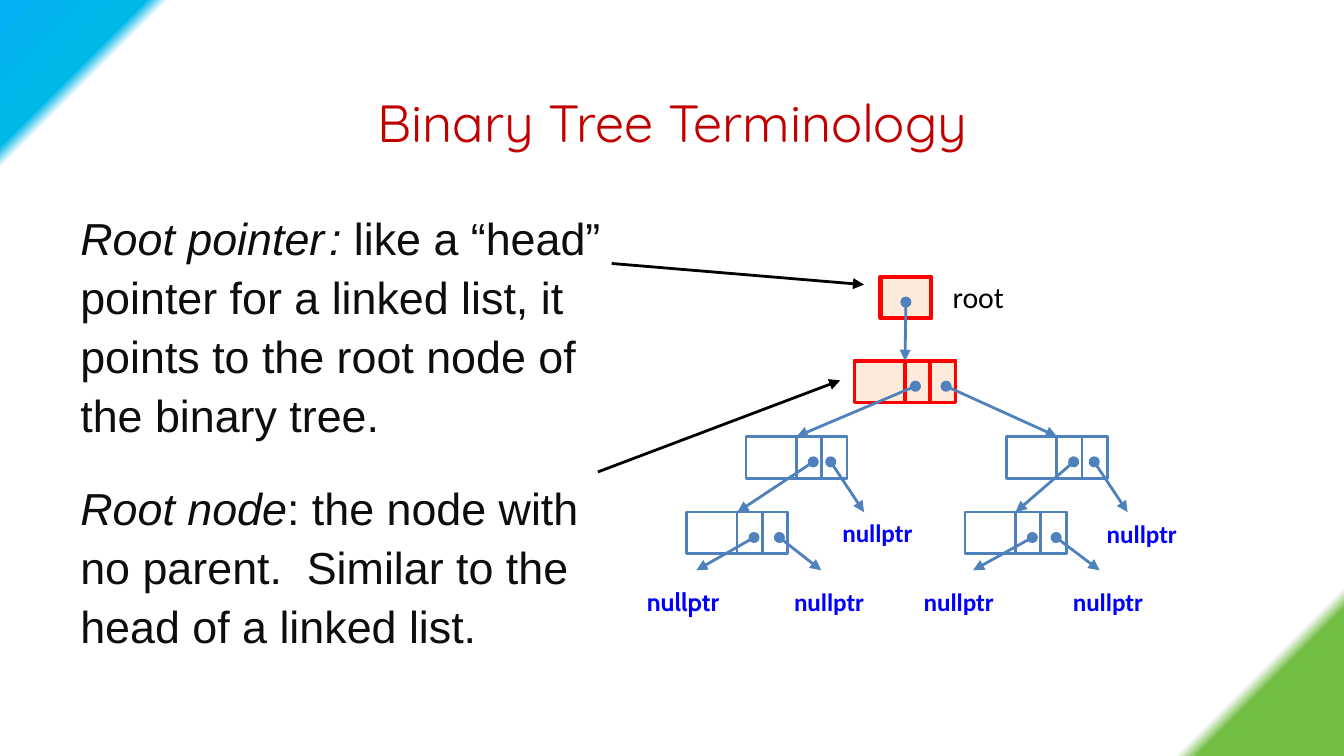
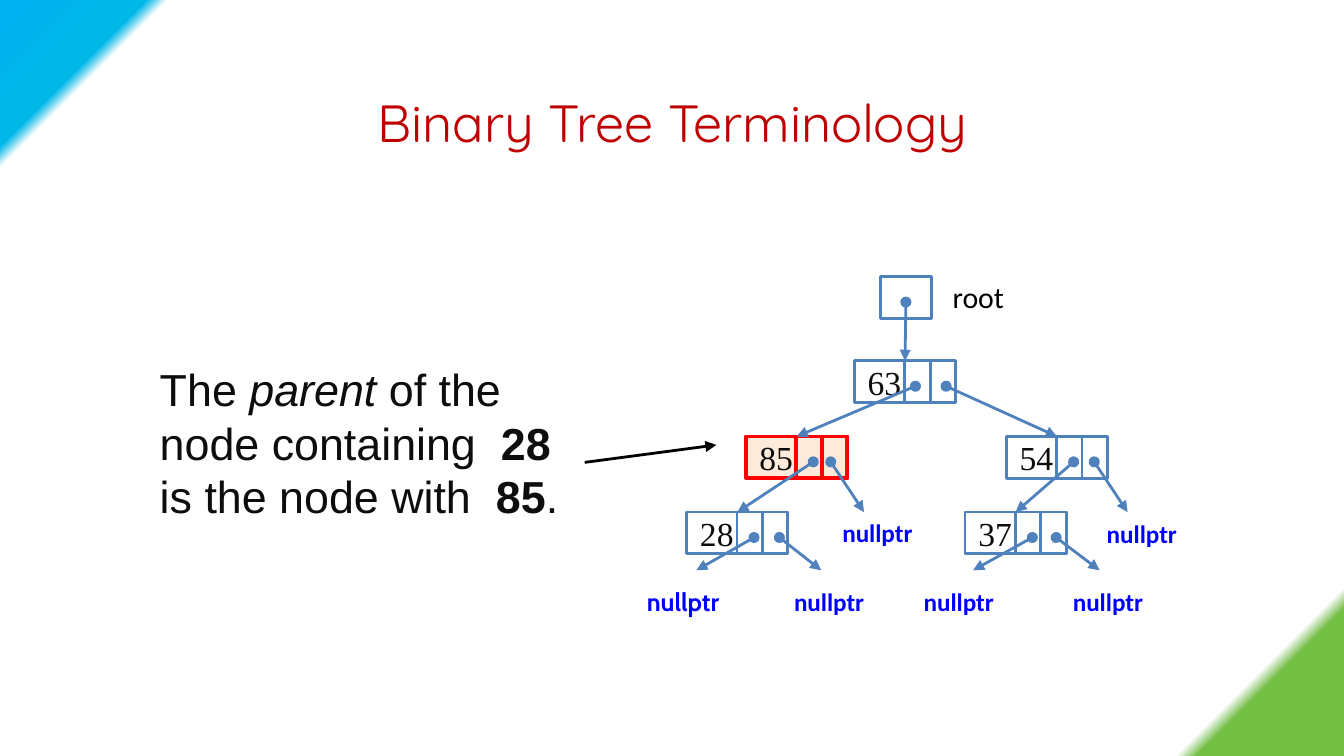
"""Build two slides that explain the root and the parent node of a binary tree."""
from dataclasses import dataclass

from lxml.etree import SubElement
from pptx import Presentation
from pptx.dml.color import RGBColor
from pptx.enum.shapes import MSO_AUTO_SHAPE_TYPE as Preset
from pptx.enum.shapes import MSO_CONNECTOR_TYPE as Connector
from pptx.enum.text import MSO_VERTICAL_ANCHOR as Anchor
from pptx.enum.text import PP_PARAGRAPH_ALIGNMENT as Align
from pptx.oxml.ns import qn
from pptx.shapes.autoshape import Shape
from pptx.slide import Slide, SlideMaster
from pptx.text.text import TextFrame
from pptx.util import Cm, Pt

SKY = RGBColor(0x00, 0xB0, 0xF0)
TEAL = RGBColor(0x00, 0xB8, 0xE7)
WHITE = RGBColor(0xFF, 0xFF, 0xFF)
GREEN = RGBColor(0x72, 0xBF, 0x44)
CRIMSON = RGBColor(0xC0, 0x00, 0x00)
RED = RGBColor(0xFF, 0x00, 0x00)
PEACH = RGBColor(0xFD, 0xEA, 0xDA)
STEEL = RGBColor(0x4F, 0x81, 0xBD)
BLUE = RGBColor(0x00, 0x00, 0xFF)
INK = RGBColor(0x0D, 0x0D, 0x0D)
BLACK = RGBColor(0x00, 0x00, 0x00)
CORNERS = ((0, SKY), (7, TEAL), (8, WHITE), (92, WHITE), (93, GREEN))

TITLE = "Binary Tree Terminology"
NODE_WIDTH, NODE_HEIGHT, CELL_WIDTH = 1.91, 0.79, 0.48
FIRST_LEVEL, LEVEL_STEP = 6.82, 1.43
ROOT_LEFT, ROOT_TOP, ROOT_WIDTH = 16.64, 5.23, 0.96
DOT_DROP = 0.48


@dataclass(frozen=True)
class Run:
    text: str
    italic: bool = False
    bold: bool = False
    size: float | None = None


@dataclass(frozen=True)
class Node:
    value: str
    left: float
    level: int

    @property
    def top(self) -> float:
        return FIRST_LEVEL + self.level * LEVEL_STEP


@dataclass(frozen=True)
class ChildLink:
    parent: str
    dot: float
    child: str


@dataclass(frozen=True)
class NullLink:
    parent: str
    dot: float
    tip: tuple[float, float]
    label: tuple[float, float, float]
    font: str = "Calibri"
    align: Align = Align.CENTER


@dataclass(frozen=True)
class Callout:
    start: tuple[float, float]
    tip: tuple[float, float]


NODES = (
    Node("63", 16.15, 0),
    Node("54", 19.02, 1),
    Node("85", 14.10, 1),
    Node("28", 12.98, 2),
    Node("37", 18.24, 2),
)
CHILD_LINKS = (
    ChildLink("63", 17.30, "85"),
    ChildLink("63", 17.88, "54"),
    ChildLink("85", 15.37, "28"),
    ChildLink("54", 20.29, "37"),
)
NULL_LINKS = (
    NullLink("85", 15.70, (16.33, 9.68), (15.67, 9.66, 2.0), align=Align.LEFT),
    NullLink("54", 20.68, (21.31, 9.68), (20.60, 9.68, 1.96)),
    NullLink("28", 14.25, (13.16, 10.78), (11.96, 10.96, 1.9), font="Cabin"),
    NullLink("28", 14.73, (15.52, 10.78), (14.73, 10.96, 1.88)),
    NullLink("37", 19.51, (18.39, 10.78), (17.12, 10.96, 2.0)),
    NullLink("37", 19.96, (20.78, 10.78), (19.96, 10.96, 1.96)),
)

ROOT_TERMS = (
    (
        Run("Root pointer", italic=True),
        Run(" ", italic=True, size=9),
        Run(":", italic=True),
        Run(" like a “head” pointer for a linked list, it points to the root node of the binary tree."),
    ),
    (
        Run("Root node", italic=True),
        Run(": the node with no parent.  Similar to the head of a linked list."),
    ),
)
PARENT_TERM = (
    (
        Run("The "),
        Run("parent", italic=True),
        Run(" of the node containing  "),
        Run("28", bold=True),
        Run(" is the node with  "),
        Run("85", bold=True),
        Run("."),
    ),
)


def write(frame: TextFrame, *paragraphs: tuple[Run, ...], font: str, size: float,
          color: RGBColor, align: Align = Align.LEFT, anchor: Anchor = Anchor.TOP,
          wrap: bool = True, spacing: float = 1.0, before: float = 0) -> None:
    frame.word_wrap = wrap
    frame.vertical_anchor = anchor
    for index, runs in enumerate(paragraphs):
        paragraph = frame.add_paragraph() if index else frame.paragraphs[0]
        paragraph.alignment = align
        paragraph.line_spacing = spacing
        paragraph.space_before = Pt(before)
        for part in runs:
            run = paragraph.add_run()
            run.text = part.text
            run.font.name = font
            run.font.size = Pt(part.size or size)
            run.font.color.rgb = color
            run.font.bold = part.bold
            run.font.italic = part.italic


def add_text_frame(slide: Slide, left: float, top: float, width: float, height: float) -> TextFrame:
    return slide.shapes.add_textbox(Cm(left), Cm(top), Cm(width), Cm(height)).text_frame


def add_box(slide: Slide, left: float, top: float, width: float, line: RGBColor,
            weight: float, fill: RGBColor | None = None) -> Shape:
    box = slide.shapes.add_shape(Preset.RECTANGLE, Cm(left), Cm(top), Cm(width), Cm(NODE_HEIGHT))
    box.shadow.inherit = False
    box.line.color.rgb = line
    box.line.width = Pt(weight)
    if fill is None:
        box.fill.background()
    else:
        box.fill.solid()
        box.fill.fore_color.rgb = fill
    return box


def add_arrow(slide: Slide, start: tuple[float, float], tip: tuple[float, float],
              color: RGBColor = STEEL, dotted: bool = True, target: Shape | None = None) -> None:
    arrow = slide.shapes.add_connector(Connector.STRAIGHT, *map(Cm, start + tip))
    if target is not None:
        arrow.end_connect(target, 0)
    arrow.line.color.rgb = color
    arrow.line.width = Pt(1.5)
    outline = arrow.line._get_or_add_ln()
    if dotted:
        SubElement(outline, qn("a:headEnd"), type="oval")
    SubElement(outline, qn("a:tailEnd"), type="triangle")
    SubElement(arrow._element.spPr, qn("a:effectLst"))


def add_node(slide: Slide, node: Node, marked: bool, with_value: bool) -> Shape:
    line, weight = (RED, 2) if marked else (STEEL, 1.5)
    body = add_box(slide, node.left, node.top, NODE_WIDTH, line, weight, PEACH if marked else None)
    if with_value:
        write(body.text_frame, (Run(node.value),), font="Times New Roman", size=18,
              color=INK, anchor=Anchor.MIDDLE, wrap=False)
    for cells_from_right in (1, 2):
        cell_left = node.left + NODE_WIDTH - cells_from_right * CELL_WIDTH
        add_box(slide, cell_left, node.top, CELL_WIDTH, line, weight)
    return body


def add_tree(slide: Slide, marked_node: str, root_marked: bool, with_values: bool) -> None:
    root_style = (RED, 2.25, PEACH) if root_marked else (STEEL, 1.5)
    add_box(slide, ROOT_LEFT, ROOT_TOP, ROOT_WIDTH, *root_style)
    write(add_text_frame(slide, 17.6, 5.28, 1.78, 0.64), (Run("root"),), font="Calibri",
          size=16, color=BLACK, align=Align.CENTER, anchor=Anchor.MIDDLE)

    bodies = {node.value: add_node(slide, node, node.value == marked_node, with_values)
              for node in NODES}
    by_value = {node.value: node for node in NODES}
    root_center = ROOT_LEFT + ROOT_WIDTH / 2
    add_arrow(slide, (root_center, ROOT_TOP + DOT_DROP), (root_center, FIRST_LEVEL),
              target=bodies["63"])
    for link in CHILD_LINKS:
        child = by_value[link.child]
        add_arrow(slide, (link.dot, by_value[link.parent].top + DOT_DROP),
                  (child.left + NODE_WIDTH / 2, child.top), target=bodies[link.child])
    for link in NULL_LINKS:
        add_arrow(slide, (link.dot, by_value[link.parent].top + DOT_DROP), link.tip)
        write(add_text_frame(slide, *link.label, 0.84), (Run("nullptr", bold=True),),
              font=link.font, size=13.5, color=BLUE, align=link.align)


def add_callouts(slide: Slide, *callouts: Callout) -> None:
    for callout in callouts:
        add_arrow(slide, callout.start, callout.tip, color=BLACK, dotted=False)


def paint_background(master: SlideMaster) -> None:
    fill = master.background.fill
    fill.gradient()
    fill.gradient_angle = 315
    stops = master.element.xpath(".//p:bg//a:gsLst")[0]
    for stop in list(stops):
        stops.remove(stop)
    for percent, color in CORNERS:
        stop = SubElement(stops, qn("a:gs"), pos=str(percent * 1000))
        SubElement(stop, qn("a:srgbClr"), val=str(color))


def add_titled_slide(deck: Presentation) -> Slide:
    slide = deck.slides.add_slide(deck.slide_layouts[5])
    title = slide.shapes.title
    title.left, title.top, title.width, title.height = map(Cm, (0.74, 1.27, 23.93, 2.06))
    write(title.text_frame, (Run(TITLE),), font="Quicksand", size=28, color=CRIMSON,
          align=Align.CENTER, anchor=Anchor.MIDDLE)
    return slide


def add_root_slide(deck: Presentation) -> None:
    slide = add_titled_slide(deck)
    write(add_text_frame(slide, 1.27, 3.76, 10.44, 9.09), *ROOT_TERMS, font="Arial",
          size=24, color=INK, spacing=1.1, before=18)
    add_callouts(slide, Callout((11.56, 4.98), (16.33, 5.38)),
                 Callout((11.3, 8.92), (15.88, 7.19)))
    add_tree(slide, marked_node="63", root_marked=True, with_values=False)


def add_parent_slide(deck: Presentation) -> None:
    slide = add_titled_slide(deck)
    definition = add_text_frame(slide, 1.8, 6.71, 9.14, 6.78)
    definition.margin_left = Cm(1.22)
    write(definition, *PARENT_TERM, font="Arial", size=24, color=INK)
    add_callouts(slide, Callout((11.05, 8.74), (13.54, 8.41)))
    add_tree(slide, marked_node="85", root_marked=False, with_values=True)


def main() -> None:
    deck = Presentation()
    deck.slide_width, deck.slide_height = Cm(25.4), Cm(14.29)
    paint_background(deck.slide_master)
    add_root_slide(deck)
    add_parent_slide(deck)
    deck.save("out.pptx")


if __name__ == "__main__":
    main()
